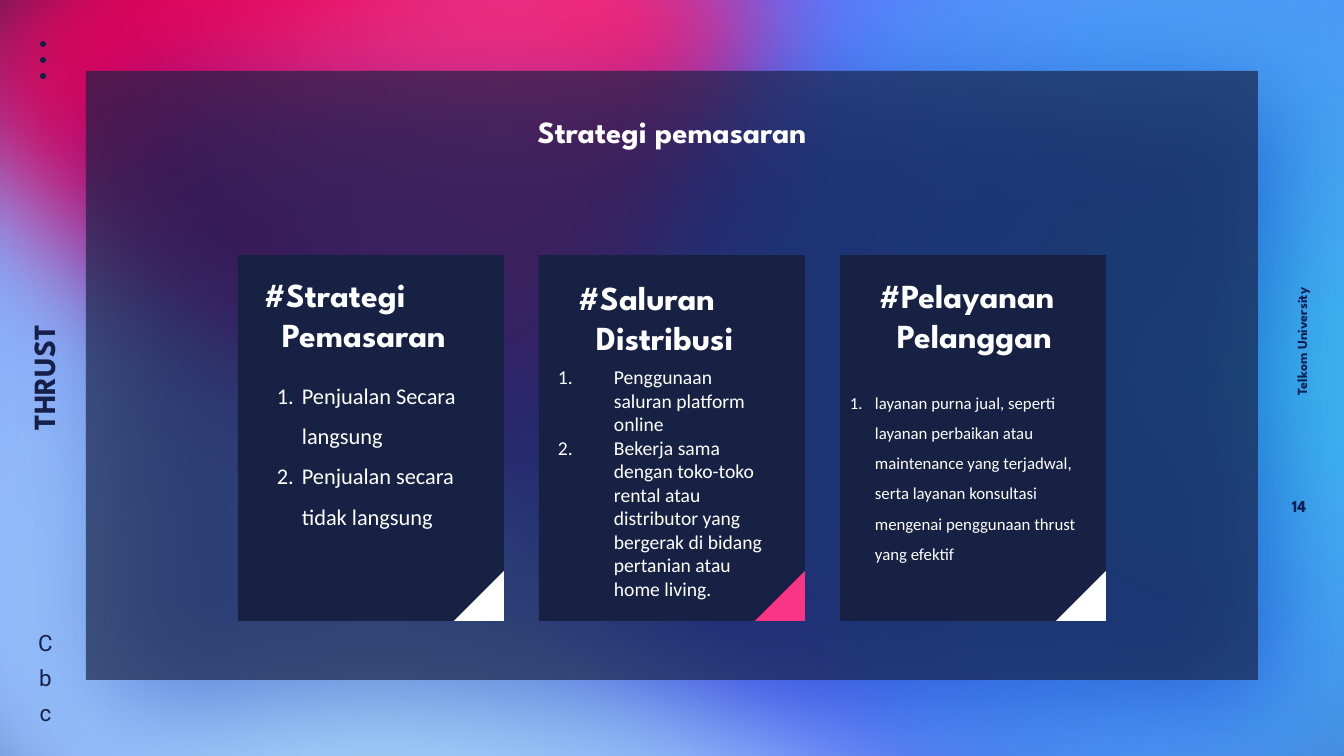
from math import cos, radians, sin

from lxml import etree
from pptx import Presentation
from pptx.dml.color import RGBColor
from pptx.enum.shapes import MSO_SHAPE as Shape
from pptx.enum.text import MSO_ANCHOR as Anchor, MSO_AUTO_SIZE as AutoSize, PP_ALIGN as Align
from pptx.oxml import parse_xml
from pptx.oxml.ns import nsdecls, qn
from pptx.util import Emu, Pt

PX = 914400 / 100.8
SLIDE_SIZE = (1344, 756)

NAVY = RGBColor(0x17, 0x21, 0x44)
WHITE = RGBColor(0xFF, 0xFF, 0xFF)
PINK = RGBColor(0xFA, 0x35, 0x85)
CRIMSON = RGBColor(0xDE, 0x05, 0x5D)
VIOLET = RGBColor(0x60, 0x70, 0xFF)
ICE = RGBColor(0xB1, 0xE9, 0xF9)
CYAN = RGBColor(0x3B, 0xC8, 0xF1)
SHADOW_BLUE = RGBColor(0x00, 0x12, 0xB0)
HEADING_FONT, BODY_FONT, ICON_FONT = "League Spartan", "Calibri", "Roboto"

# Blob outline in its own units: start point, then Bezier curves, all turned by 255 degrees
OUTLINE_CENTRE, OUTLINE_SIZE, OUTLINE_TURN = (952, 223), (1641, 1468), 255
OUTLINE_START = (722, -515)
OUTLINE_CURVES = [
    (589, -435, 469, -333, 375, -207), (316, -130, 268, -44, 237, 48),
    (110, 417, 443, 732, 612, 828), (780, 923, 1109, 1053, 1303, 977),
    (1496, 901, 1559, 788, 1596, 679), (1633, 570, 1647, 398, 1647, 344),
    (1647, 289, 1637, 6, 1610, -149), (1593, -246, 1560, -343, 1508, -427),
    (1484, -466, 1455, -505, 1419, -533), (1381, -562, 1340, -588, 1297, -608),
    (1229, -640, 1153, -659, 1077, -653), (999, -648, 926, -619, 856, -586),
    (810, -564, 766, -541, 722, -515),
]
# box, rotation, gradient stops from the centre (percent, colour, opacity)
BLOBS = [
    ((-501, 9, 1759, 1180), 195, [(0, ICE, 100), (77, VIOLET, 100)]),
    ((-222, -452, 1158, 1035), 15, [(0, CRIMSON, 100), (40, CRIMSON, 100), (71, VIOLET, 100)]),
    ((133, -515, 1654, 1480), 255, [(0, VIOLET, 100)]),
    ((31, -280, 941, 842), 150, [(0, PINK, 100), (70, CRIMSON, 100)]),
    ((404, -362, 1654, 1480), 255, [(0, CYAN, 100), (80, VIOLET, 32)]),
]

PANEL = (86, 71, 1172, 609)
TITLE, TITLE_BOX = "Strategi pemasaran", (455, 108, 434, 47)
ICON_LETTERS = ["C", "b", "c"]
CARD_LEFT, CARD_TOP, CARD_WIDTH, CARD_HEIGHT, CARD_PITCH = 238, 255, 266, 366, 301
CORNER = 50
HEADING_INDENT = 18
CARDS = [
    dict(heading=["#Strategi", "Pemasaran"], heading_box=(254, 269, 226, 92), corner=WHITE,
         items=["Penjualan Secara langsung", "Penjualan secara tidak langsung"],
         items_box=(267, 365, 209, 168), size=16, indent=25, spacing=1.5, anchor=Anchor.MIDDLE),
    dict(heading=["#Saluran", "Distribusi"], heading_box=(568, 272, 181, 92), corner=PINK,
         items=["Penggunaan saluran platform online",
                "Bekerja sama dengan toko-toko rental atau distributor yang bergerak "
                "di bidang pertanian atau home living."],
         items_box=(548, 360, 236, 248), size=14, indent=56, spacing=1.0, anchor=Anchor.TOP),
    dict(heading=["#Pelayanan", "Pelanggan"], heading_box=(869, 270, 217, 92), corner=WHITE,
         items=["layanan purna jual, seperti layanan perbaikan atau maintenance yang "
                "terjadwal, serta layanan konsultasi mengenai penggunaan thrust yang efektif"],
         items_box=(840, 378, 266, 190), size=12, indent=25, spacing=1.5, anchor=Anchor.MIDDLE),
]


def px(value):
    return Emu(round(value * PX))


def drawing_xml(markup):
    return parse_xml(markup.replace(">", f" {nsdecls('a')}>", 1))


def paint(shape, color):
    shape.fill.solid()
    shape.fill.fore_color.rgb = color
    shape.line.fill.background()
    shape.shadow.inherit = False


def add_block(slide, kind, box, color):
    shape = slide.shapes.add_shape(kind, *map(px, box))
    paint(shape, color)
    return shape


def place_point(point, width, height):
    """Turn an outline point upright and scale it into a box of the given size."""
    x, y = point[0] - OUTLINE_CENTRE[0], point[1] - OUTLINE_CENTRE[1]
    c, s = cos(radians(-OUTLINE_TURN)), sin(radians(-OUTLINE_TURN))
    return (round(width * (0.5 + (x * c - y * s) / OUTLINE_SIZE[0])),
            round(height * (0.5 + (x * s + y * c) / OUTLINE_SIZE[1])))


def add_blob(slide, box, rotation, stops):
    box = left, top, width, height = [px(value) for value in box]
    start = place_point(OUTLINE_START, width, height)
    curves = [[place_point(curve[i:i + 2], width, height) for i in (0, 2, 4)]
              for curve in OUTLINE_CURVES]
    builder = slide.shapes.build_freeform(*start)
    builder.add_line_segments([curve[-1] for curve in curves], close=True)
    blob = builder.convert_to_shape()
    blob.left, blob.top, blob.width, blob.height = box
    blob.rotation = rotation
    paint(blob, stops[0][1])
    properties = blob.element.spPr

    outline = next(properties.iter(qn("a:path")))
    outline.set("w", str(width))
    outline.set("h", str(height))
    first = next(outline.iter(qn("a:pt")))
    first.set("x", str(start[0]))
    first.set("y", str(start[1]))
    for segment, curve in zip(outline.findall(qn("a:lnTo")), curves):
        points = "".join(f'<a:pt x="{x}" y="{y}"/>' for x, y in curve)
        outline.replace(segment, drawing_xml(f"<a:cubicBezTo>{points}</a:cubicBezTo>"))

    if len(stops) > 1:
        stop_xml = "".join(
            f'<a:gs pos="{position * 1000}"><a:srgbClr val="{color}">'
            f'<a:alpha val="{opacity * 1000}"/></a:srgbClr></a:gs>'
            for position, color, opacity in stops)
        gradient = drawing_xml(
            f'<a:gradFill><a:gsLst>{stop_xml}</a:gsLst><a:path path="circle">'
            '<a:fillToRect l="50000" t="50000" r="50000" b="50000"/></a:path></a:gradFill>')
        properties.replace(properties.find(qn("a:solidFill")), gradient)
    soft_edge = etree.SubElement(properties.find(qn("a:effectLst")), qn("a:softEdge"))
    soft_edge.set("rad", str(Pt(100)))


def write(shape, lines, size, color, font=HEADING_FONT, bold=True, align=Align.LEFT,
          anchor=Anchor.TOP, spacing=1.0, indents=None, numbered=False):
    frame = shape.text_frame
    frame.word_wrap = True
    frame.auto_size = AutoSize.NONE
    frame.vertical_anchor = anchor
    for index, line in enumerate(lines):
        paragraph = frame.paragraphs[0] if index == 0 else frame.add_paragraph()
        paragraph.alignment = align
        paragraph.line_spacing = spacing
        properties = paragraph._p.get_or_add_pPr()
        if indents:
            properties.set("marL", str(px(indents[index])))
        if numbered:
            properties.set("indent", str(-px(indents[index])))
            etree.SubElement(properties, qn("a:buFont")).set("typeface", font)
            etree.SubElement(properties, qn("a:buAutoNum")).set("type", "arabicPeriod")
        run = paragraph.add_run()
        run.text = line
        run.font.name, run.font.size, run.font.bold = font, Pt(size), bold
        run.font.color.rgb = color


def add_text(slide, box, lines, size, color, rotation=0, **style):
    shape = slide.shapes.add_textbox(*map(px, box))
    shape.rotation = rotation
    write(shape, lines, size, color, **style)
    return shape


def add_side_marks(slide):
    centred = dict(align=Align.CENTER, anchor=Anchor.MIDDLE)
    add_text(slide, (-78, 354, 242, 47), ["THRUST"], 22, NAVY, 270, align=Align.CENTER)
    for row in range(3):
        add_block(slide, Shape.OVAL, (40, 41 + 16 * row, 6, 6), NAVY)
    add_text(slide, (1233, 323, 137, 27), ["Telkom University"], 10, NAVY, 270,
             anchor=Anchor.MIDDLE)
    number = add_text(slide, (1283, 490, 32, 32), ["14"], 12, NAVY, **centred)
    number.text_frame.margin_left = number.text_frame.margin_right = 0
    for row, letter in enumerate(ICON_LETTERS):
        add_text(slide, (24, 624 + 35 * row, 43, 37), [letter], 16, NAVY,
                 font=ICON_FONT, bold=False, **centred)


def add_panel(slide):
    panel = add_block(slide, Shape.RECTANGLE, PANEL, NAVY)
    properties = panel.element.spPr
    color = properties.find(qn("a:solidFill")).find(qn("a:srgbClr"))
    etree.SubElement(color, qn("a:alpha")).set("val", "67000")
    properties.find(qn("a:effectLst")).append(drawing_xml(
        f'<a:outerShdw blurRad="{Pt(84)}" dist="{Pt(24)}" dir="2700000" algn="tl" '
        f'rotWithShape="0"><a:srgbClr val="{SHADOW_BLUE}"><a:alpha val="66000"/>'
        '</a:srgbClr></a:outerShdw>'))


def add_card(slide, column, card):
    left = CARD_LEFT + column * CARD_PITCH
    add_block(slide, Shape.RECTANGLE, (left, CARD_TOP, CARD_WIDTH, CARD_HEIGHT), NAVY)
    corner_box = (left + CARD_WIDTH - CORNER, CARD_TOP + CARD_HEIGHT - CORNER, CORNER, CORNER)
    corner = add_block(slide, Shape.RIGHT_TRIANGLE, corner_box, card["corner"])
    corner.element.spPr.find(qn("a:xfrm")).set("flipH", "1")
    add_text(slide, card["heading_box"], card["heading"], 24, WHITE, indents=[0, HEADING_INDENT])
    add_text(slide, card["items_box"], card["items"], card["size"], WHITE, font=BODY_FONT,
             bold=False, anchor=card["anchor"], spacing=card["spacing"],
             indents=[card["indent"]] * len(card["items"]), numbered=True)


def main():
    presentation = Presentation()
    presentation.slide_width, presentation.slide_height = map(px, SLIDE_SIZE)
    slide = presentation.slides.add_slide(presentation.slide_layouts[5])
    slide.background.fill.solid()
    slide.background.fill.fore_color.rgb = NAVY
    for box, rotation, stops in BLOBS:
        add_blob(slide, box, rotation, stops)
    add_side_marks(slide)
    add_panel(slide)
    for column, card in enumerate(CARDS):
        add_card(slide, column, card)
    title = slide.shapes.title
    title.left, title.top, title.width, title.height = map(px, TITLE_BOX)
    write(title, [TITLE], 22, WHITE, align=Align.CENTER)
    title.element.getparent().append(title.element)
    presentation.save("out.pptx")


if __name__ == "__main__":
    main()
